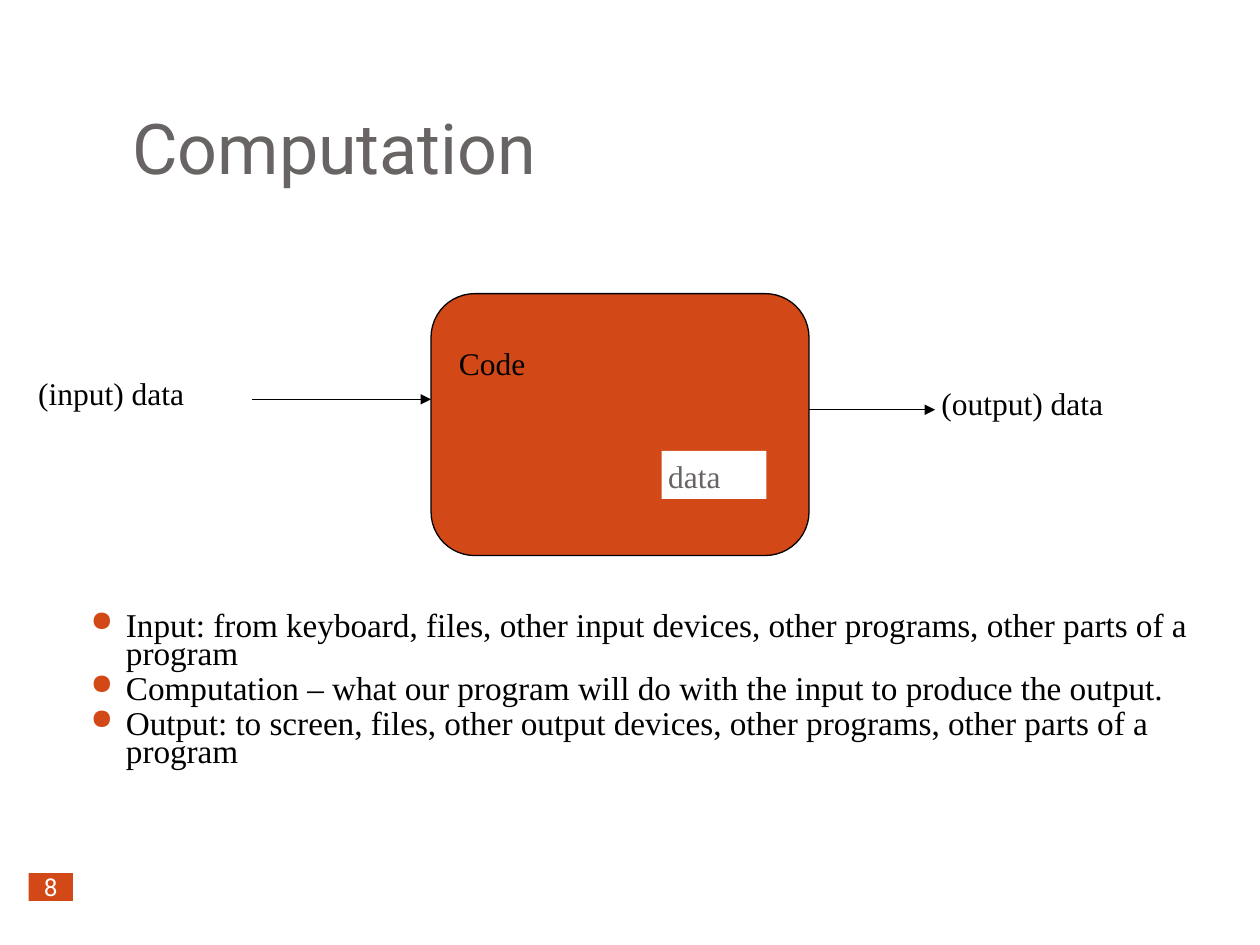
from lxml.etree import SubElement
from pptx import Presentation
from pptx.dml.color import RGBColor
from pptx.enum.shapes import MSO_CONNECTOR, MSO_SHAPE
from pptx.enum.text import MSO_ANCHOR, MSO_AUTO_SIZE, PP_ALIGN
from pptx.oxml.ns import qn
from pptx.util import Cm, Pt

HUES = {"ink": "000000", "gray": "696464", "rust": "D34817", "white": "FFFFFF"}
SERIF, SANS = "Times New Roman", "Roboto"
PAD = 0.13


def hue(name):
    return RGBColor.from_string(HUES[name])


def apply(item, style):
    for key, value in style.items():
        setattr(item, key, value)


class Deck:
    def __init__(self):
        self.prs = Presentation()
        apply(self.prs, {"slide_width": Cm(25.4), "slide_height": Cm(19.05)})
        self.slide = self.prs.slides.add_slide(self.prs.slide_layouts[5])
        self.shapes = self.slide.shapes

    def letter(self, shape, lines, size=18, font=SERIF, color="ink", pad=PAD,
               anchor=MSO_ANCHOR.TOP, fit=MSO_AUTO_SIZE.NONE, **para):
        frame = shape.text_frame
        frame.text = "\n".join(lines)
        sides = ("left", "top", "right", "bottom")
        apply(frame, {f"margin_{side}": Cm(pad) for side in sides})
        apply(frame, {"word_wrap": True, "auto_size": fit,
                      "vertical_anchor": anchor})
        for item in frame.paragraphs:
            apply(item, {"alignment": PP_ALIGN.LEFT, **para})
            for run in item.runs:
                apply(run.font, {"size": Pt(size), "name": font})
                run.font.color.rgb = hue(color)

    def title(self, text, *box):
        shape = self.shapes.title
        apply(shape, dict(zip(("left", "top", "width", "height"), map(Cm, box))))
        self.letter(shape, [text], 40, SANS, "gray", anchor=MSO_ANCHOR.BOTTOM)

    def label(self, text, *box):
        shape = self.shapes.add_textbox(*map(Cm, box))
        self.letter(shape, [text], fit=MSO_AUTO_SIZE.SHAPE_TO_FIT_TEXT)

    def block(self, kind, fill, *box, line=None):
        shape = self.shapes.add_shape(kind, *map(Cm, box))
        shape.shadow.inherit = False
        shape.fill.solid()
        shape.fill.fore_color.rgb = hue(fill)
        if line:
            shape.line.color.rgb = hue(line)
            shape.line.width = Pt(0.75)
        else:
            shape.line.fill.background()
        return shape

    def arrow(self, start, end, y):
        link = self.shapes.add_connector(
            MSO_CONNECTOR.STRAIGHT, Cm(start), Cm(y), Cm(end), Cm(y))
        link.line.color.rgb = hue("ink")
        link.line.width = Pt(0.75)
        props = link._element.spPr
        SubElement(props.find(qn("a:ln")), qn("a:tailEnd"), type="triangle")
        SubElement(props, qn("a:effectLst"))

    def bullets(self, lines, *box):
        shape = self.shapes.add_textbox(*map(Cm, box))
        self.letter(shape, lines, 19, line_spacing=0.7, space_before=Pt(4))
        for item in shape.text_frame.paragraphs:
            props = item._p.get_or_add_pPr()
            props.set("marL", str(Cm(0.71)))
            props.set("indent", str(-Cm(0.71)))
            tint = SubElement(props, qn("a:buClr"))
            SubElement(tint, qn("a:srgbClr"), val=HUES["rust"])
            SubElement(props, qn("a:buSzPct"), val="85000")
            SubElement(props, qn("a:buChar"), char="●")


def main():
    deck = Deck()
    deck.title("Computation", 2.54, 0.76, 21.59, 3.18)

    # Points below the diagram
    deck.bullets([
        "Input: from keyboard, files, other input devices, other programs, "
        "other parts of a program",
        "Computation – what our program will do with the input to produce "
        "the output.",
        "Output: to screen, files, other output devices, other programs, "
        "other parts of a program",
    ], 1.7, 12.27, 22.43, 4.01)

    # Program box with its input and output
    deck.block(MSO_SHAPE.ROUNDED_RECTANGLE, "rust", 8.69, 5.92, 7.62, 5.28,
               line="ink")
    deck.label("(input) data", 0.64, 7.42, 4.65, 0.97)
    deck.label("(output) data", 18.85, 7.62, 4.88, 0.97)
    deck.arrow(5.08, 8.69, 8.05)
    deck.arrow(16.31, 18.85, 8.26)

    # Contents of the program box
    data = deck.block(MSO_SHAPE.RECTANGLE, "white", 13.34, 9.09, 2.11, 0.97)
    deck.letter(data, ["data"], color="gray")
    deck.label("Code", 9.12, 6.81, 2.9, 1.02)

    # Page number
    page = deck.block(MSO_SHAPE.RECTANGLE, "rust", 0.58, 17.6, 0.89, 0.56)
    deck.letter(page, ["8"], 14, SANS, "white", pad=0,
                anchor=MSO_ANCHOR.MIDDLE, alignment=PP_ALIGN.CENTER)

    deck.prs.save("out.pptx")


if __name__ == "__main__":
    main()
